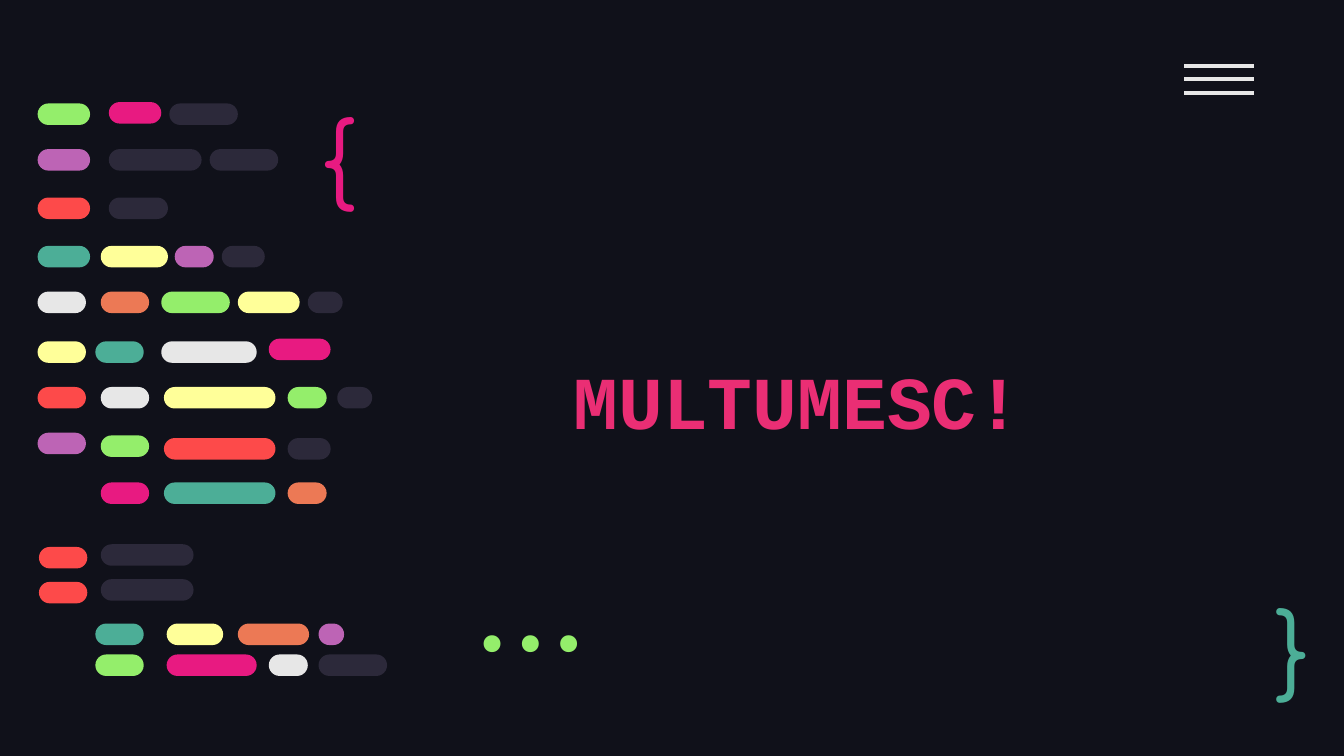
from lxml import etree
from pptx import Presentation
from pptx.dml.color import RGBColor
from pptx.enum.shapes import MSO_CONNECTOR, MSO_SHAPE
from pptx.enum.text import MSO_ANCHOR, PP_ALIGN
from pptx.oxml.ns import qn
from pptx.util import Inches, Pt

ROUNDED = MSO_SHAPE.ROUNDED_RECTANGLE
STRAIGHT = MSO_CONNECTOR.STRAIGHT
TOP, MIDDLE, BOTTOM = MSO_ANCHOR.TOP, MSO_ANCHOR.MIDDLE, MSO_ANCHOR.BOTTOM
LEFT, RIGHT = PP_ALIGN.LEFT, PP_ALIGN.RIGHT

# The slide is a fine grid of 1000 columns; all lengths below are in cells
COLUMNS = 1000
CELL = Inches(10) // COLUMNS
SLIDE_WIDTH = COLUMNS * CELL
SLIDE_HEIGHT = SLIDE_WIDTH * 9 // 16
PILL_HEIGHT = 16
INSET = 10

BACKGROUND = "10111A"
TITLE_PINK = "EA2E74"
GREEN, PINK, PURPLE, RED = "94EE6B", "E81A81", "BD64B5", "FD4A4A"
TEAL, YELLOW, ORANGE = "4CAE97", "FFFF99", "EC7955"
WHITE, DARK = "E7E7E7", "2C293A"

# Code lines: row of the grid, then (column, width, colour) of each pill
CODE_LINES = [
    (76, [(81, 39, PINK)]),
    (77, [(28, 39, GREEN), (126, 51, DARK)]),
    (111, [(28, 39, PURPLE), (81, 69, DARK), (156, 51, DARK)]),
    (147, [(28, 39, RED), (81, 44, DARK)]),
    (183, [(28, 39, TEAL), (75, 50, YELLOW), (130, 29, PURPLE),
           (165, 32, DARK)]),
    (217, [(28, 36, WHITE), (75, 36, ORANGE), (120, 51, GREEN),
           (177, 46, YELLOW), (229, 26, DARK)]),
    (252, [(200, 46, PINK)]),
    (254, [(28, 36, YELLOW), (71, 36, TEAL), (120, 71, WHITE)]),
    (288, [(28, 36, RED), (75, 36, WHITE), (122, 83, YELLOW),
           (214, 29, GREEN), (251, 26, DARK)]),
    (322, [(28, 36, PURPLE)]),
    (324, [(75, 36, GREEN)]),
    (326, [(122, 83, RED), (214, 32, DARK)]),
    (359, [(75, 36, PINK), (122, 83, TEAL), (214, 29, ORANGE)]),
    (405, [(75, 69, DARK)]),
    (407, [(29, 36, RED)]),
    (431, [(75, 69, DARK)]),
    (433, [(29, 36, RED)]),
    (464, [(71, 36, TEAL), (124, 42, YELLOW), (177, 53, ORANGE),
           (237, 19, PURPLE)]),
    (487, [(71, 36, GREEN), (124, 67, PINK), (200, 29, WHITE),
           (237, 51, DARK)]),
]


def color(hex_code):
    return RGBColor.from_string(hex_code)


def cells(*counts):
    return [count * CELL for count in counts]


def add_text(page, text, area, font_name, size, hex_code,
             anchor=TOP, align=LEFT, bold=False, line_spacing=1.0):
    box = page.shapes.add_textbox(*cells(*area))
    frame = box.text_frame
    frame.word_wrap = True
    frame.vertical_anchor = anchor
    frame.margin_left = frame.margin_right = INSET * CELL
    frame.margin_top = frame.margin_bottom = INSET * CELL
    para = frame.paragraphs[0]
    para.text = text
    para.alignment = align
    para.line_spacing = line_spacing
    para.font.name = font_name
    para.font.size = Pt(size)
    para.font.bold = bold
    para.font.color.rgb = color(hex_code)


def add_pill(page, column, row, width, hex_code):
    pill = page.shapes.add_shape(
        ROUNDED, *cells(column, row, width, PILL_HEIGHT))
    pill.adjustments[0] = 0.5
    pill.fill.solid()
    pill.fill.fore_color.rgb = color(hex_code)
    pill.line.fill.background()
    pill.shadow.inherit = False


def add_menu_icon(page, left, right, top, gap):
    for index in range(3):
        row = top + index * gap
        bar = page.shapes.add_connector(
            STRAIGHT, *cells(left, row, right, row))
        bar.line.color.rgb = color(WHITE)
        bar.line.width = Pt(2.25)
        etree.SubElement(bar.element.spPr, qn("a:effectLst"))


def main():
    deck = Presentation()
    deck.slide_width, deck.slide_height = SLIDE_WIDTH, SLIDE_HEIGHT
    page = deck.slides.add_slide(deck.slide_layouts[6])
    page.background.fill.solid()
    page.background.fill.fore_color.rgb = color(BACKGROUND)

    # Title
    add_text(page, "MULTUMESC!", (417, 206, 634, 136), "Courier New", 40,
             TITLE_PINK, anchor=BOTTOM, bold=True, line_spacing=0.9)

    # Braces and dots
    add_text(page, "{", (229, 62, 77, 95), "Comfortaa", 50, PINK)
    add_text(page, "}", (939, 438, 57, 83), "Comfortaa", 50, TEAL,
             anchor=MIDDLE)
    add_text(page, "...", (311, 449, 158, 60), "Fira Code", 50, GREEN,
             anchor=BOTTOM, align=RIGHT)

    # Menu icon
    add_menu_icon(page, left=881, right=933, top=49, gap=10)

    # Code lines
    for row, pills in CODE_LINES:
        for column, width, hex_code in pills:
            add_pill(page, column, row, width, hex_code)

    deck.save("out.pptx")


if __name__ == "__main__":
    main()
